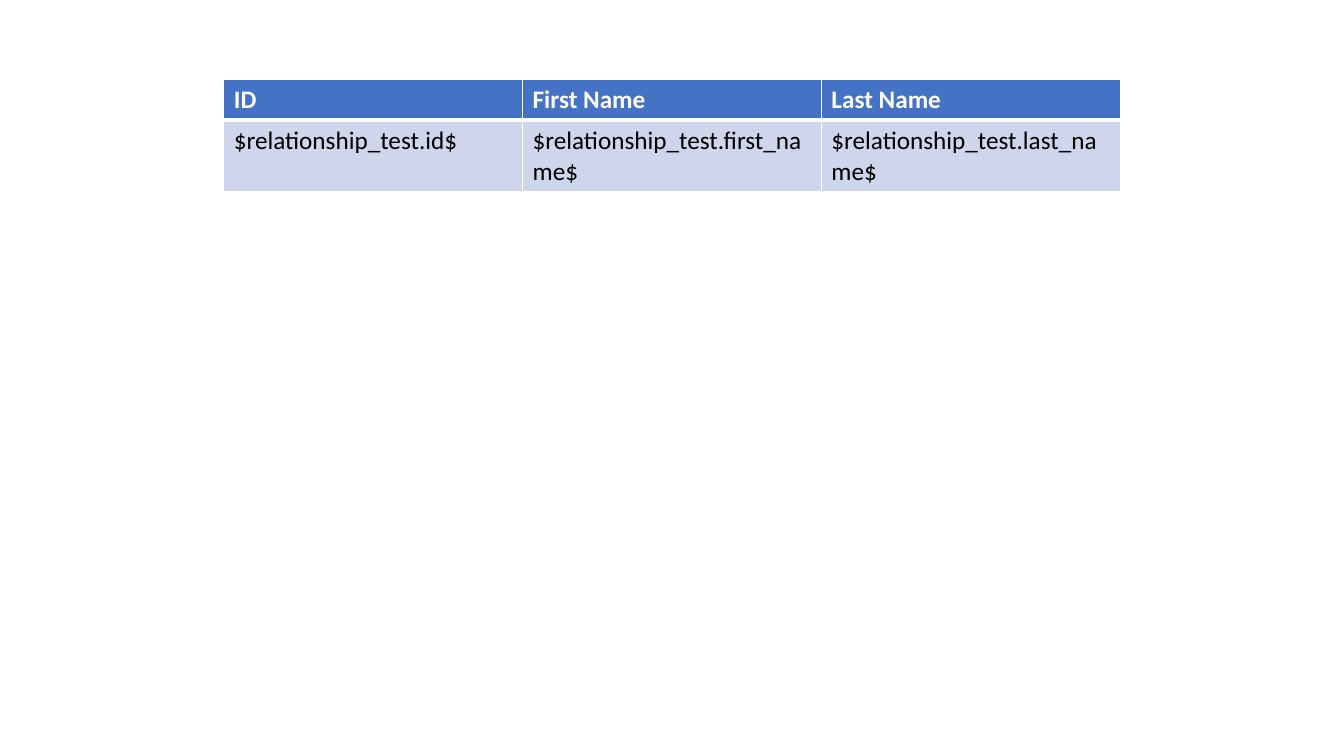
"""Build a slide with a table of name placeholders."""
import dataclasses

import lxml.etree
import pptx
import pptx.dml.color
import pptx.oxml.ns
import pptx.util

Cm = pptx.util.Cm
Pt = pptx.util.Pt
RGB = pptx.dml.color.RGBColor.from_string


@dataclasses.dataclass(frozen=True)
class Theme:
    """Colours, font, type size and rule widths."""
    font: str = "Calibri"
    size: int = 18
    header_fill: str = "4472C4"
    header_text: str = "FFFFFF"
    body_fill: str = "CFD5EA"
    body_text: str = "000000"
    rule: str = "FFFFFF"
    thin: int = 1
    thick: int = 3


THEME = Theme()
ROWS = [
    ("ID", "First Name", "Last Name"),
    ("$relationship_test.id$", "$relationship_test.first_name$",
     "$relationship_test.last_name$"),
]


def add_border(cell, side, width):
    """Draw a solid rule on one side of a cell."""
    qn = pptx.oxml.ns.qn
    tcPr = cell._tc.get_or_add_tcPr()
    ln = lxml.etree.SubElement(tcPr, qn(f"a:ln{side}"), w=str(Pt(width)))
    fill = lxml.etree.SubElement(ln, qn("a:solidFill"))
    lxml.etree.SubElement(fill, qn("a:srgbClr"), val=THEME.rule)


def fill_cell(cell, text, is_header):
    """Write and style one header or body cell."""
    heavy_side = "B" if is_header else "T"
    for side in "LRTB":
        add_border(cell, side, THEME.thick if side == heavy_side else THEME.thin)
    cell.fill.solid()
    cell.fill.fore_color.rgb = RGB(THEME.header_fill if is_header else THEME.body_fill)
    r = cell.text_frame.paragraphs[0].add_run()
    r.text = text
    r.font.name = THEME.font
    r.font.size = Pt(THEME.size)
    r.font.bold = is_header
    r.font.color.rgb = RGB(THEME.header_text if is_header else THEME.body_text)


def add_name_table(s, rows, left, top, col_width, row_height):
    """Add a table whose first row is the header."""
    n_rows, n_cols = len(rows), len(rows[0])
    table = s.shapes.add_table(n_rows, n_cols, left, top,
                               col_width * n_cols, row_height * n_rows).table
    for col in table.columns:
        col.width = col_width
    for i, row in enumerate(rows):
        table.rows[i].height = row_height
        for j, text in enumerate(row):
            fill_cell(table.cell(i, j), text, is_header=i == 0)


def main():
    """Create and save the slide."""
    prs = pptx.Presentation()
    prs.slide_width, prs.slide_height = Cm(33.87), Cm(19.05)
    s = prs.slides.add_slide(prs.slide_layouts[6])
    add_name_table(s, ROWS, Cm(5.64), Cm(2), Cm(7.53), Cm(1.03))
    prs.save("out.pptx")


main()
